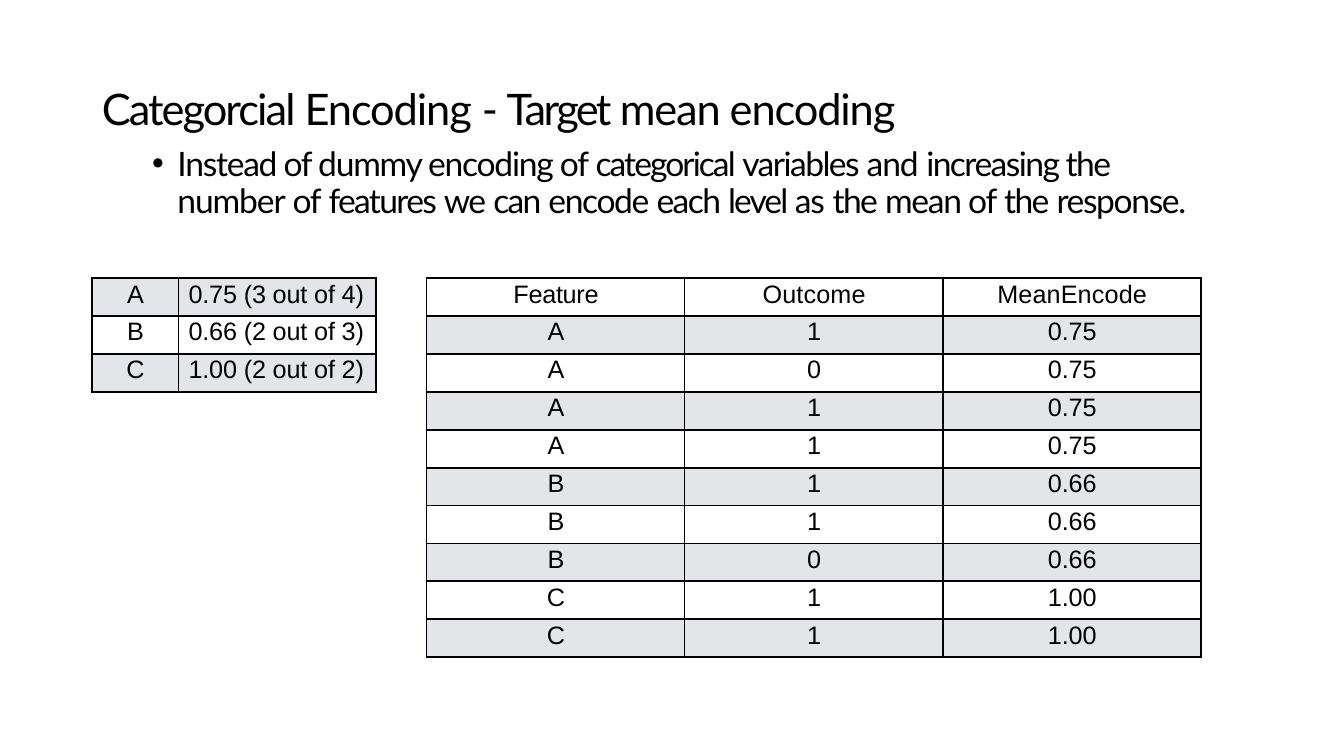
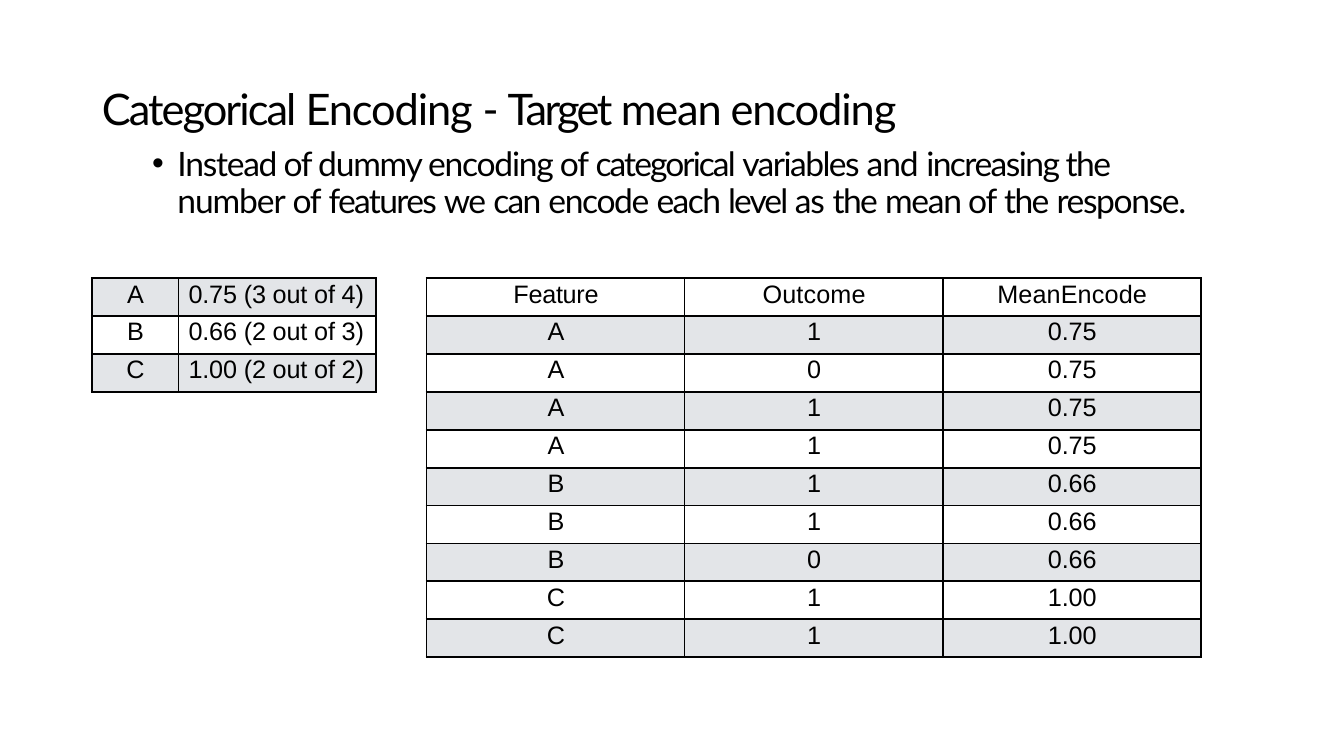
"""Build two slides on target mean encoding."""
from lxml import etree
from pptx import Presentation
from pptx.dml.color import RGBColor
from pptx.enum.text import MSO_AUTO_SIZE, PP_ALIGN
from pptx.oxml.ns import qn
from pptx.util import Inches, Pt

LEFT, CENTER = PP_ALIGN.LEFT, PP_ALIGN.CENTER
GROW = MSO_AUTO_SIZE.SHAPE_TO_FIT_TEXT

TITLE_REST = [("Encoding ", -0.8), ("- ", -1.6), ("Target ", -1.9), ("mean encoding", -0.8)]
EXPLANATION = [
    ("Instead of dummy encoding of ", -0.9), ("categorical ", -1.4), ("variables ", -1.1),
    ("and ", -0.8), ("increasing the ", -1.1), ("number ", -0.8), ("of ", -0.9),
    ("features ", -1.2), ("we ", -1.1), ("can ", -1.2), ("encode ", -1), ("each ", -1.1),
    ("level ", -1.4), ("as ", -0.8), ("the ", -1.1), ("mean of ", -0.9), ("the ", -1.1),
    ("response.", -1),
]
MEANS = {"A": ("0.75", "3 out of 4"), "B": ("0.66", "2 out of 3"), "C": ("1.00", "2 out of 2")}
OUTCOMES = {"A": "1011", "B": "110", "C": "11"}
HEADER = [("Feature", -0.2), ("Outcome", 0.1), ("MeanEncode", 0.1)]


def color(value):
    return RGBColor.from_string(value)


class Deck:
    HEADING_FONT, TABLE_FONT = "Lato", "Arial"
    INK, PLAIN, SHADE = "000000", "FFFFFF", "E3E5E8"

    def __init__(self):
        self.prs = Presentation()
        self.prs.slide_width, self.prs.slide_height = Inches(13.33), Inches(7.5)
        self.slide = None

    def new_slide(self):
        self.slide = self.prs.slides.add_slide(self.prs.slide_layouts[6])

    def add_runs(self, paragraph, runs, font, size, before, align=LEFT, margin=0.01):
        paragraph.alignment = align
        paragraph.space_before = Pt(before)
        paragraph._p.get_or_add_pPr().set("marL", str(Inches(margin)))
        for text, tracking in runs:
            run = paragraph.add_run()
            run.text = text
            run.font.name, run.font.size = font, Pt(size)
            run.font.color.rgb = color(self.INK)
            run._r.get_or_add_rPr().set("spc", str(round(tracking * 100)))

    def text_box(self, left, top, width, height, inset):
        frame = self.slide.shapes.add_textbox(
            Inches(left), Inches(top), Inches(width), Inches(height)).text_frame
        frame.word_wrap, frame.auto_size = True, GROW
        frame.margin_left = frame.margin_right = frame.margin_bottom = 0
        frame.margin_top = Inches(inset)
        return frame.paragraphs[0]

    def title(self, runs):
        heading = self.text_box(1, 0.79, 8.05, 0.55, 0.02)
        self.add_runs(heading, runs, self.HEADING_FONT, 31, 1.1)

    def bullet(self, runs):
        item = self.text_box(1.5, 1.4, 10.42, 0.79, 0.06)
        self.add_runs(item, runs, self.HEADING_FONT, 24, 4.2, margin=0.26)
        item.line_spacing = Pt(26)
        properties = item._p.get_or_add_pPr()
        properties.set("indent", str(Inches(-0.25)))
        etree.SubElement(properties, qn("a:buFont"), typeface="Arial")
        etree.SubElement(properties, qn("a:buChar"), char="•")

    def border(self, cell):
        properties = cell._tc.get_or_add_tcPr()
        for side in ("lnL", "lnR", "lnT", "lnB"):
            line = etree.SubElement(properties, qn(f"a:{side}"), w=str(Pt(1.5)))
            fill = etree.SubElement(line, qn("a:solidFill"))
            etree.SubElement(fill, qn("a:srgbClr"), val=self.INK)

    def table(self, left, height, widths, rows, layouts, has_header=False):
        table = self.slide.shapes.add_table(
            len(rows), len(widths), Inches(left), Inches(2.76),
            Inches(sum(widths)), Inches(height)).table
        table.first_row = table.horz_banding = False
        for column, width in zip(table.columns, widths):
            column.width = Inches(width)
        for r, row in enumerate(rows):
            table.rows[r].height = Inches(height / len(rows))
            shaded = (r + has_header) % 2 == 0
            edge = r == len(rows) - 1 or (has_header and r == 0)
            for c, (run, (align, margin)) in enumerate(zip(row, layouts)):
                cell = table.cell(r, c)
                cell.margin_left = cell.margin_right = cell.margin_bottom = 0
                cell.margin_top = Inches(0.02)
                self.border(cell)
                cell.fill.solid()
                cell.fill.fore_color.rgb = color(self.SHADE if shaded else self.PLAIN)
                self.add_runs(cell.text_frame.paragraphs[0], [run], self.TABLE_FONT, 18,
                              1.4 if edge else 1.7, align, margin)


def main():
    deck = Deck()
    centered = (CENTER, 0.01)
    encoded = [HEADER] + [
        [(level, 0), (outcome, 0), (MEANS[level][0], -0.1)]
        for level, outcomes in OUTCOMES.items() for outcome in outcomes
    ]
    summary = [[(level, 0), (f"{mean} ({count})", -0.1)]
               for level, (mean, count) in MEANS.items()]
    for first_word in ("Categorcial ", "Categorical "):
        deck.new_slide()
        deck.title([(first_word, -1.4)] + TITLE_REST)
        deck.bullet(EXPLANATION)
        deck.table(4.23, 3.76, [2.56] * 3, encoded, [centered] * 3, has_header=True)
        deck.table(0.91, 1.13, [0.86, 1.96], summary, [centered, (LEFT, 0.1)])
    deck.prs.save("out.pptx")


if __name__ == "__main__":
    main()
